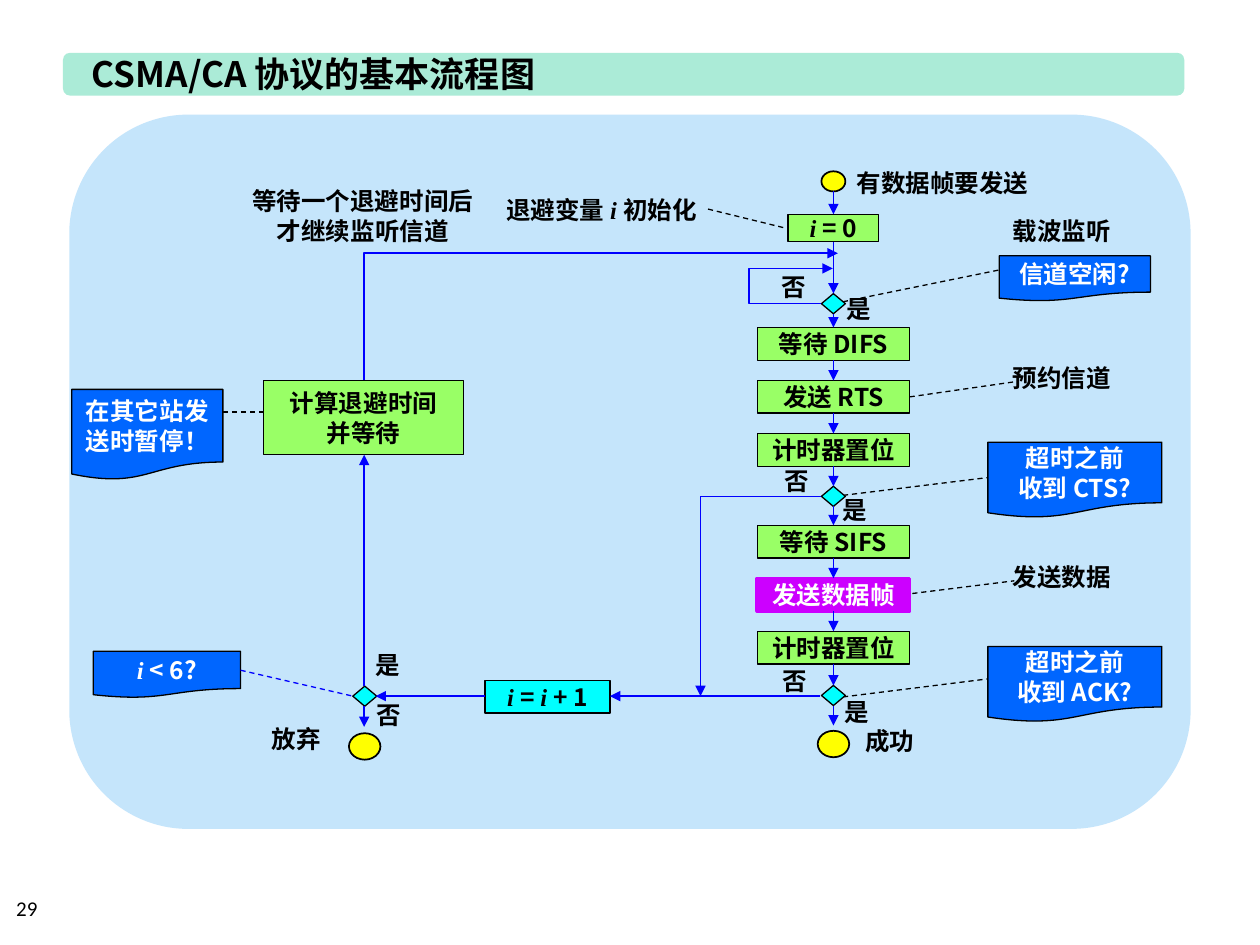
from dataclasses import dataclass

from lxml import etree
from pptx import Presentation, util as u
from pptx.dml.color import RGBColor
from pptx.enum import dml, shapes, text
from pptx.oxml.ns import qn

KIND = shapes.MSO_SHAPE


@dataclass(frozen=True)
class Theme:
    """Colours, fonts and type sizes of the slide."""
    panel: str = "C5E5FB"
    header: str = "ABEBD7"
    step: str = "99FF66"
    send: str = "CC00FF"
    decision: str = "00FFFF"
    terminal: str = "FFFF00"
    note: str = "0066FF"
    flow: str = "0000FF"
    ink: str = "000000"
    light: str = "FFFFFF"
    font: str = "Noto Sans CJK SC"
    variable_font: str = "Times New Roman"
    number_font: str = "Calibri"
    title_size: int = 20
    body_size: int = 14
    number_size: int = 12


@dataclass(frozen=True)
class Box:
    """A region in points that places its contents by offset."""
    left: float
    top: float
    width: float
    height: float

    def area(self, x, y, width, height):
        """Return a box offset from this region's corner."""
        return Box(self.left + x, self.top + y, width, height)

    def point(self, x, y):
        """Return a point offset from this region's corner."""
        return self.left + x, self.top + y

    def emu(self):
        """Return the four lengths for python-pptx."""
        return [u.Pt(v) for v in (self.left, self.top, self.width, self.height)]


THEME = Theme()
DECISION = (13.7, 11.5)
STEP = (87.1, 18.7)
TERMINAL = (18, 15.1)


def write(frame, wording, color, size=THEME.body_size, font=THEME.font, bold=True, align=None):
    """Write lines whose runs are divided by bars; a run "i " is a variable."""
    for index, line in enumerate(wording.split("\n")):
        paragraph = frame.paragraphs[0] if index == 0 else frame.add_paragraph()
        paragraph.alignment = align
        paragraph.line_spacing = u.Pt(size * 1.2)
        for piece in line.split("|"):
            run = paragraph.add_run()
            run.text = piece
            variable = piece == "i "
            run.font.name = THEME.variable_font if variable else font
            run.font.size, run.font.bold, run.font.italic = u.Pt(size), bold, variable
            run.font.color.rgb = RGBColor.from_string(color)
            east = etree.SubElement(run._r.get_or_add_rPr(), qn("a:ea"))
            east.set("typeface", font)


def add_label(slide, box, wording, align=text.PP_ALIGN.LEFT, **style):
    """Add a plain text label."""
    frame = slide.shapes.add_textbox(*box.emu()).text_frame
    frame.word_wrap = True
    write(frame, wording, THEME.ink, align=align, **style)


def add_node(slide, kind, box, fill, wording="", color=THEME.ink, line=THEME.ink, weight=0.75):
    """Add a filled shape with optional centred wording."""
    node = slide.shapes.add_shape(kind, *box.emu())
    node.shadow.inherit = False
    node.fill.solid()
    node.fill.fore_color.rgb = RGBColor.from_string(fill)
    if line:
        node.line.color.rgb = RGBColor.from_string(line)
        node.line.width = u.Pt(weight)
    else:
        node.line.fill.background()
    if wording:
        frame = node.text_frame
        frame.word_wrap = False
        frame.vertical_anchor = text.MSO_ANCHOR.MIDDLE
        write(frame, wording, color, align=text.PP_ALIGN.CENTER)


def add_note(slide, box, wording):
    """Add a blue document-shaped note."""
    add_node(slide, KIND.FLOWCHART_DOCUMENT, box, THEME.note, wording, THEME.light)


def add_link(slide, start, end, color=THEME.flow, weight=1, arrow="tailEnd", bend=None, shift=None):
    """Add a straight or bent link, with an arrowhead or dashed."""
    style = shapes.MSO_CONNECTOR.ELBOW if bend else shapes.MSO_CONNECTOR.STRAIGHT
    link = slide.shapes.add_connector(style, *(u.Pt(v) for v in (*start, *end)))
    link.line.color.rgb = RGBColor.from_string(color)
    link.line.width = u.Pt(weight)
    properties = link._element.spPr
    if bend:
        geometry = properties.find(qn("a:prstGeom"))
        geometry.set("prst", bend)
        if shift is not None:
            guide = etree.SubElement(geometry.get_or_add_avLst(), qn("a:gd"))
            guide.set("name", "adj1")
            guide.set("fmla", f"val {round(shift * 100000)}")
    if arrow:
        head = etree.SubElement(link.line._get_or_add_ln(), qn(f"a:{arrow}"))
        head.set("type", "triangle")
    else:
        link.line.dash_style = dml.MSO_LINE.DASH
    etree.SubElement(properties, qn("a:effectLst"))


def add_leader(slide, start, end, color=THEME.ink):
    """Add a dashed line that ties a note to its step."""
    add_link(slide, start, end, color, 0.75, arrow=None)


def draw_header(slide, box):
    """Draw the title bar."""
    add_node(slide, KIND.ROUNDED_RECTANGLE, box, THEME.header, line=None)
    add_label(slide, box.area(9.4, -3.6, 300, 31.7), "CSMA/CA 协议的基本流程图", size=THEME.title_size)


def draw_notes(slide, box):
    """Draw the remarks to the right of the sending column."""
    leaders = [((-87.9, 53.3), (10.8, 33.2)), ((-44.7, 106.6), (15.1, 98)),
               ((-87.9, 163.5), (12.2, 151.2)), ((-48.3, 219.6), (15.1, 211.7)),
               ((-87.9, 278.7), (10.8, 266.4))]
    for start, end in leaders:
        add_leader(slide, box.point(*start), box.point(*end))
    for top, remark in [(0, "载波监听"), (83.6, "预约信道"), (197.3, "发送数据")]:
        add_label(slide, box.area(7.2, top, 85, 24.5), remark)
    add_note(slide, box.area(6.5, 26, 86.4, 25.9), "信道空闲?")
    for top, reply in [(132.5, "CTS"), (249.2, "ACK")]:
        add_note(slide, box.area(0, top, box.width, 43.2), f"超时之前\n收到 {reply}?")


def draw_sending(slide, box):
    """Draw the sending column from request to success."""
    process, decision, circle = KIND.FLOWCHART_PROCESS, KIND.FLOWCHART_DECISION, KIND.OVAL
    rows = [(circle, 0, DECISION, ""), (process, 24.5, (51.8, 15.8), "i |= 0"),
            (decision, 69.9, DECISION, ""), (process, 89.3, STEP, "等待 DIFS"),
            (process, 119.5, STEP, "发送 RTS"), (process, 149.8, STEP, "计时器置位"),
            (decision, 180, DECISION, ""), (process, 202.3, STEP, "等待 SIFS"),
            (process, 232.6, STEP, "发送数据帧"), (process, 262.8, STEP, "计时器置位"),
            (decision, 293.8, DECISION, ""), (circle, 319.7, TERMINAL, "")]
    fills = {process: THEME.step, decision: THEME.decision, circle: THEME.terminal}
    axis = box.width / 2
    for kind, top, (width, height), wording in rows:
        look = {"weight": 1 if kind == circle else 0.75}
        fill = fills[kind]
        if wording == "发送数据帧":
            fill = THEME.send
            look = {"color": THEME.light, "line": THEME.send, "weight": 2}
        add_node(slide, kind, box.area(axis - width / 2, top, width, height), fill, wording, **look)
    for (_, top, size, _), (_, below, target, _) in zip(rows, rows[1:]):
        gap = 3 if target == TERMINAL else 0
        add_link(slide, box.point(axis, top + size[1]), box.point(axis, below - gap))
    add_link(slide, box.point(36.7, 75.6), box.point(43.2, 55.5), bend="bentConnector3", shift=-6.4)
    add_leader(slide, box.point(-28.1, 21.6), box.point(15.9, 32.4))
    labels = [(43.9, 66.3, 24, "是"), (41.8, 181.5, 24, "是"), (42.5, 296.7, 24, "是"),
              (6.5, 54, 24, "否"), (8.7, 164.9, 24, "否"), (7.2, 279.4, 24, "否"),
              (49.7, -5.7, 129.6, "有数据帧要发送"), (54.7, 313.2, 57, "成功"),
              (-150.5, 10.1, 146.9, "退避变量 |i |初始化")]
    for x, y, width, wording in labels:
        add_label(slide, box.area(x, y, width, 24.5), wording)


def draw_backoff(slide, box):
    """Draw the retry counter and the back-off loop."""
    axis, retry = 57.6, 253.1
    add_node(slide, KIND.FLOWCHART_PROCESS, box.area(0, 72.7, 114.5, 42.5), THEME.step, "计算退避时间\n并等待")
    add_node(slide, KIND.FLOWCHART_PROCESS, box.area(126.7, 244.1, 71.3, 18.7), THEME.decision, "i |= |i |+ 1")
    add_node(slide, KIND.FLOWCHART_DECISION, box.area(51.1, 247.4, *DECISION), THEME.decision)
    add_node(slide, KIND.OVAL, box.area(48.9, 274.3, *TERMINAL), THEME.terminal, weight=1)
    flows = [((318.2, retry), (198, retry)), ((126.7, retry), (64.1, retry)),
             ((axis, 247.4), (axis, 115.2)), ((axis, 258.9), (axis, 270.7))]
    for start, end in flows:
        add_link(slide, box.point(*start), box.point(*end))
    add_link(slide, box.point(318.9, 139), box.point(249.8, retry), bend="bentConnector2")
    add_link(slide, box.point(box.width, 0), box.point(axis, 72.7), arrow="headEnd", bend="bentConnector2")
    add_note(slide, box.area(-109.5, 77.8, 86.4, 51.8), "在其它站发\n送时暂停！")
    add_note(slide, box.area(-97.2, 227.5, 84.2, 26.6), "i |< 6?")
    add_leader(slide, box.point(-23.1, 90.7), box.point(0, 90.7))
    add_leader(slide, box.point(-13, 238.3), box.point(51.1, retry), THEME.flow)
    for x, y, width, wording in [(56.9, 223.2, 24, "是"), (57.6, 252, 24, "否"), (-2.2, 265.7, 61.2, "放弃")]:
        add_label(slide, box.area(x, y, width, 24.5), wording)
    add_label(slide, box.area(-27.4, -41.7, 168.5, 41), "等待一个退避时间后\n才继续监听信道", text.PP_ALIGN.CENTER)


def main():
    """Build and save the flow chart slide."""
    deck = Presentation()
    deck.slide_width, deck.slide_height = u.Pt(720), u.Pt(540)
    slide = deck.slides.add_slide(deck.slide_layouts[6])
    add_node(slide, KIND.ROUNDED_RECTANGLE, Box(39.6, 65.5, 640.8, 408.2), THEME.panel, line=None)
    draw_header(slide, Box(36, 30.2, 640.8, 24.5))
    draw_notes(slide, Box(564.5, 120.2, 99.4, 292.3))
    draw_sending(slide, Box(432.7, 97.9, 87.1, 334.8))
    draw_backoff(slide, Box(150.5, 144.7, 328.3, 289.4))
    add_label(slide, Box(2.2, 508.3, 167.8, 28.8), "29", size=THEME.number_size,
              font=THEME.number_font, bold=False)
    deck.save("out.pptx")


if __name__ == "__main__":
    main()
